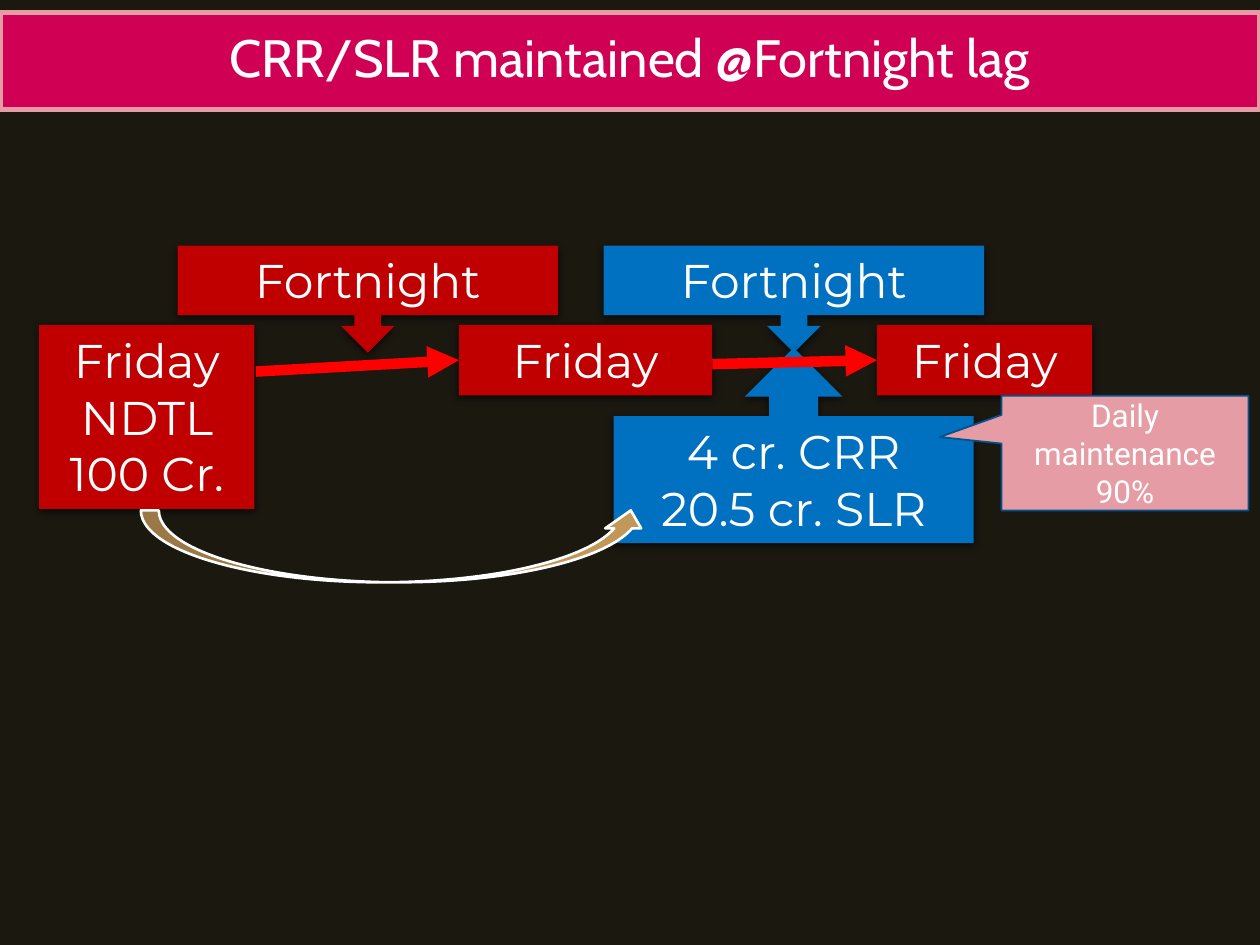
"""Build the slide on CRR and SLR kept with a fortnight's lag."""
import pptx
import pptx.dml.color
import pptx.enum.shapes
import pptx.enum.text
import pptx.oxml
import pptx.oxml.ns
import pptx.util

Cm, Pt = pptx.util.Cm, pptx.util.Pt
SHAPE = pptx.enum.shapes.MSO_SHAPE
ANCHOR = pptx.enum.text.MSO_ANCHOR
FIT = pptx.enum.text.MSO_AUTO_SIZE

COLORS = {
    "background": "1B1810", "banner": "D00054", "pink": "E69CA4",
    "red": "C00000", "blue": "0070C0", "arrow": "FF0000",
    "navy": "00538E", "tan": "C19859", "white": "FFFFFF", "shadow": "000000",
}
TITLE = "CRR/SLR maintained @Fortnight lag"
DAY_TOP, PERIOD_TOP = 6.55, 4.95
STEPS = [
    (["Friday", "NDTL", "100 Cr."], SHAPE.RECTANGLE, "red", (0.79, DAY_TOP, 4.34, 3.71)),
    (["Friday"], SHAPE.RECTANGLE, "red", (9.25, DAY_TOP, 5.11, 1.42)),
    (["Friday"], SHAPE.RECTANGLE, "red", (17.68, DAY_TOP, 4.34, 1.42)),
    (["Fortnight"], SHAPE.DOWN_ARROW_CALLOUT, "red", (3.58, PERIOD_TOP, 7.67, 2.16)),
    (["Fortnight"], SHAPE.DOWN_ARROW_CALLOUT, "blue", (12.17, PERIOD_TOP, 7.67, 2.16)),
    (["4 cr. CRR", "20.5 cr. SLR"], SHAPE.UP_ARROW_CALLOUT, "blue", (12.37, 7.01, 7.26, 3.94)),
]
ARROWS = [((5.16, 7.49), 1), ((14.36, 7.34), 2)]
DAILY_RULE = ["Daily maintenance 90%"]


def rgb(name):
    return pptx.dml.color.RGBColor.from_string(COLORS[name])


def add_xml(parent, tag, inner="", attributes=""):
    namespace = pptx.oxml.ns.nsdecls("a")
    parent.append(pptx.oxml.parse_xml(
        f"<a:{tag} {namespace} {attributes}>{inner}</a:{tag}>"))


def add_shadow(shape):
    shape.shadow.inherit = True
    add_xml(shape.element.spPr, "effectLst",
            '<a:outerShdw blurRad="57150" dist="19050" dir="5400000" algn="ctr" rotWithShape="0">'
            f'<a:srgbClr val="{COLORS["shadow"]}"><a:alpha val="63000"/></a:srgbClr></a:outerShdw>')


def write(shape, lines, *, font, size, anchor=ANCHOR.TOP, fit=FIT.NONE, spacing=None):
    frame = shape.text_frame
    frame.word_wrap = True
    frame.auto_size = fit
    frame.vertical_anchor = anchor
    frame.text = "\n".join(lines)
    for paragraph in frame.paragraphs:
        paragraph.alignment = pptx.enum.text.PP_ALIGN.CENTER
        paragraph.line_spacing = spacing
        paragraph.font.name = font
        paragraph.font.size = Pt(size)
        paragraph.font.color.rgb = rgb("white")


def paint(shape, fill, line=None, width=0):
    shape.fill.solid()
    shape.fill.fore_color.rgb = rgb(fill)
    if line:
        shape.line.color.rgb = rgb(line)
        shape.line.width = Pt(width)
    else:
        shape.line.fill.background()


def add_block(slide, kind, place, *style):
    block = slide.shapes.add_shape(kind, *map(Cm, place))
    block.shadow.inherit = False
    paint(block, *style)
    return block


def add_arrow(slide, start, target):
    x, y = map(Cm, start)
    arrow = slide.shapes.add_connector(
        pptx.enum.shapes.MSO_CONNECTOR.STRAIGHT, x, y, target.left, y)
    arrow.end_connect(target, 1)
    arrow.line.color.rgb = rgb("arrow")
    arrow.line.width = Pt(6)
    add_xml(arrow.line._get_or_add_ln(), "tailEnd", attributes='type="triangle"')
    add_xml(arrow.element.spPr, "effectLst")


def main():
    deck = pptx.Presentation()
    deck.slide_width, deck.slide_height = Cm(25.4), Cm(19.05)
    slide = deck.slides.add_slide(deck.slide_layouts[5])
    slide.background.fill.solid()
    slide.background.fill.fore_color.rgb = rgb("background")

    title = slide.shapes.title
    title.left, title.top, title.width, title.height = map(Cm, (0, 0.25, 25.4, 1.96))
    paint(title, "banner", "pink", 3)
    write(title, [TITLE], font="Cabin", size=30, anchor=ANCHOR.MIDDLE, spacing=0.9)

    steps = []
    for lines, kind, color, place in STEPS:
        step = add_block(slide, kind, place, color)
        add_shadow(step)
        write(step, lines, font="Montserrat", size=27, fit=FIT.SHAPE_TO_FIT_TEXT)
        steps.append(step)

    for start, target in ARROWS:
        add_arrow(slide, start, steps[target])

    daily = add_block(slide, SHAPE.RECTANGULAR_CALLOUT, (20.19, 7.98, 4.98, 2.31),
                      "pink", "navy", 1)
    daily.adjustments[0], daily.adjustments[1] = -0.75, -0.14
    write(daily, DAILY_RULE, font="Roboto", size=18, anchor=ANCHOR.MIDDLE)

    add_block(slide, SHAPE.CURVED_UP_ARROW, (2.84, 10.29, 10.24, 1.45), "tan", "white", 1.5)
    deck.save("out.pptx")


if __name__ == "__main__":
    main()
